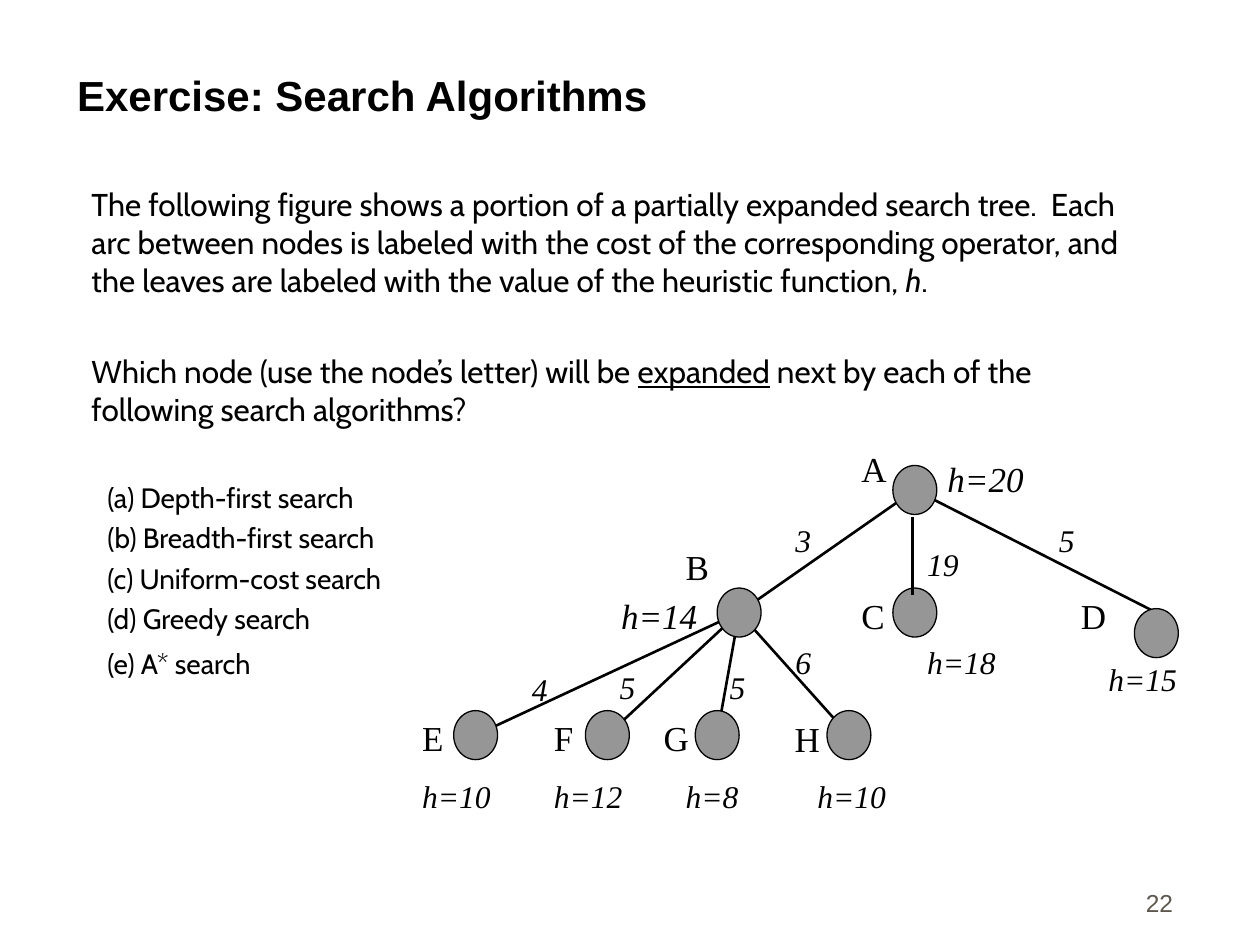
from lxml.etree import SubElement
from pptx import Presentation
from pptx.dml.color import RGBColor
from pptx.enum.shapes import MSO_CONNECTOR, MSO_SHAPE
from pptx.enum.text import MSO_ANCHOR, MSO_AUTO_SIZE, PP_ALIGN
from pptx.oxml.ns import qn
from pptx.util import Cm, Pt


def colour(hex_string):
    return RGBColor.from_string(hex_string)


def write(para, text, hex_string="000000", **values):
    span = para.add_run()
    span.text = text
    span.font.color.rgb = colour(hex_string)
    for name, value in values.items():
        setattr(span.font, name, value)


deck = Presentation()
deck.slide_width, deck.slide_height = Cm(25.4), Cm(19.05)
page = deck.slides.add_slide(deck.slide_layouts[1])
title, body = page.placeholders

# Title and body frames
frames = [
    (title, (1.3, 0.64, 22.66, 1.9), MSO_ANCHOR.BOTTOM),
    (body, (0.64, 3.61, 22.7, 13.23), MSO_ANCHOR.TOP),
]
for box, place, anchor in frames:
    box.left, box.top, box.width, box.height = map(Cm, place)
    box.text_frame.auto_size = MSO_AUTO_SIZE.NONE
    box.text_frame.vertical_anchor = anchor

para = title.text_frame.paragraphs[0]
para.alignment = PP_ALIGN.LEFT
write(para, "Exercise: Search Algorithms", name="Arial", size=Pt(24), bold=True)

# Question and list: level, space before, spans
paragraphs = [
    (0, 0, [
        ("The following figure shows a portion of a partially expanded search tree.  "
         "Each arc between nodes is labeled with the cost of the corresponding operator, "
         "and the leaves are labeled with the value of the heuristic function, ", {}),
        ("h", {"italic": True}),
        (".", {}),
    ]),
    (0, 30.5, [
        ("Which node (use the node’s letter) will be ", {}),
        ("expanded", {"underline": True}),
        (" next by each of the following search algorithms?", {}),
    ]),
    (1, 30, [("(a) Depth-first search", {})]),
    (1, 4, [("(b) Breadth-first search", {})]),
    (1, 4, [("(c) Uniform-cost search", {})]),
    (1, 4, [("(d) Greedy search", {})]),
    (1, 6.5, [("(e) A* search", {})]),
]
for index, (level, space, spans) in enumerate(paragraphs):
    para = body.text_frame.add_paragraph() if index else body.text_frame.paragraphs[0]
    para.level = level
    para.space_before = Pt(space)
    margin, indent, size = [(0.95, 0, 18), (2.06, -0.79, 16)][level]
    properties = para._p.get_or_add_pPr()
    properties.set("marL", str(Cm(margin)))
    properties.set("indent", str(Cm(indent)))
    SubElement(properties, qn("a:buNone"))
    for text, values in spans:
        write(para, text, name="Cabin", size=Pt(size), **values)

# Tree grid: 30 columns span 13.28 cm, 12 rows span 5.93 cm
LEFT, TOP = Cm(8.26), Cm(8.89)
COLUMN, ROW = Cm(13.28) / 30, Cm(5.93) / 12
tree = page.shapes.add_group_shape()

# Labels: text, column, row, width in columns
costs = [("5", 29, 3, 3), ("5", 9, 9, 3), ("5", 14, 9, 3), ("4", 5, 9.1, 3),
         ("19", 23, 4, 3), ("6", 17, 8, 3), ("3", 17, 3, 3)]
letters = [("A", 20, 0, 3), ("B", 12, 4, 3), ("C", 20, 6, 3), ("D", 30, 6, 3),
           ("E", 0, 11, 3), ("F", 6, 11, 3), ("G", 11, 11, 3)]
leaf_values = [("h=10", 0, 13.45, 6), ("h=12", 6, 13.45, 5), ("h=8", 12, 13.45, 6),
               ("h=10", 18, 13.45, 6), ("h=18", 23, 8, 6), ("h=15", 31.25, 8.7, 6)]
for labels, size, italic in [(costs, 18, True), (letters, 20, False), (leaf_values, 18, True)]:
    for text, column, row, width in labels:
        box = tree.shapes.add_shape(
            MSO_SHAPE.RECTANGLE, int(LEFT + column * COLUMN), int(TOP + row * ROW),
            int(width * COLUMN), int(3 * ROW))
        box.shadow.inherit = False
        box.fill.solid()
        box.fill.fore_color.rgb = colour("FFFFFF")
        box.line.fill.background()
        box.text_frame.word_wrap = True
        box.text_frame.vertical_anchor = MSO_ANCHOR.TOP
        para = box.text_frame.paragraphs[0]
        para.alignment = PP_ALIGN.LEFT
        write(para, text, name="Times New Roman", size=Pt(size), italic=italic)

# Arcs lie under the nodes, except the one from A to C
a, b = (23, 2), (15, 7)
arcs = [(a, b), (a, (34, 7))] + [(b, (column, 12)) for column in (3, 9, 14, 20)]
arcs.append(((22.9, 3.1), (22.9, 6.3)))
nodes = [(22, 1), (14, 6), (22, 6), (33, 6.84), (2, 11), (8, 11), (13, 11), (19, 11)]
parts = [("arc", arc) for arc in arcs[:-1]]
parts += [("node", node) for node in nodes] + [("arc", arcs[-1])]
for kind, place in parts:
    if kind == "node":
        column, row = place
        part = tree.shapes.add_shape(
            MSO_SHAPE.OVAL, int(LEFT + column * COLUMN), int(TOP + row * ROW),
            int(2 * COLUMN), int(2 * ROW))
        part.shadow.inherit = False
        part.fill.solid()
        part.fill.fore_color.rgb = colour("969696")
        part.line.width = Pt(0.75)
    else:
        ends = [int(length) for column, row in place
                for length in (LEFT + column * COLUMN, TOP + row * ROW)]
        part = tree.shapes.add_connector(MSO_CONNECTOR.STRAIGHT, *ends)
        part.line.width = Pt(1.5)
        SubElement(part._element.spPr, qn("a:effectLst"))
    part.line.color.rgb = colour("000000")

# Unfilled labels grow with their text and stay on one line
for holder, text, place, italic in [
    (tree, "H", (15.77, 14.33, 1.02, 1.12), False),
    (page, "h=20", (18.85, 9.09, 2.05, 1.12), True),
    (page, "h=14", (12.27, 11.86, 2.05, 1.12), True),
]:
    box = holder.shapes.add_textbox(*map(Cm, place))
    box.text_frame.word_wrap = False
    box.text_frame.auto_size = MSO_AUTO_SIZE.SHAPE_TO_FIT_TEXT
    write(box.text_frame.paragraphs[0], text, name="Times New Roman", size=Pt(20), italic=italic)

# Page number
box = page.shapes.add_textbox(Cm(18.62), Cm(17.35), Cm(5.28), Cm(1.27))
box.text_frame.word_wrap = True
box.text_frame.vertical_anchor = MSO_ANCHOR.BOTTOM
para = box.text_frame.paragraphs[0]
para.alignment = PP_ALIGN.RIGHT
write(para, "22", "5E574E", name="Arial", size=Pt(14))

deck.save("out.pptx")
